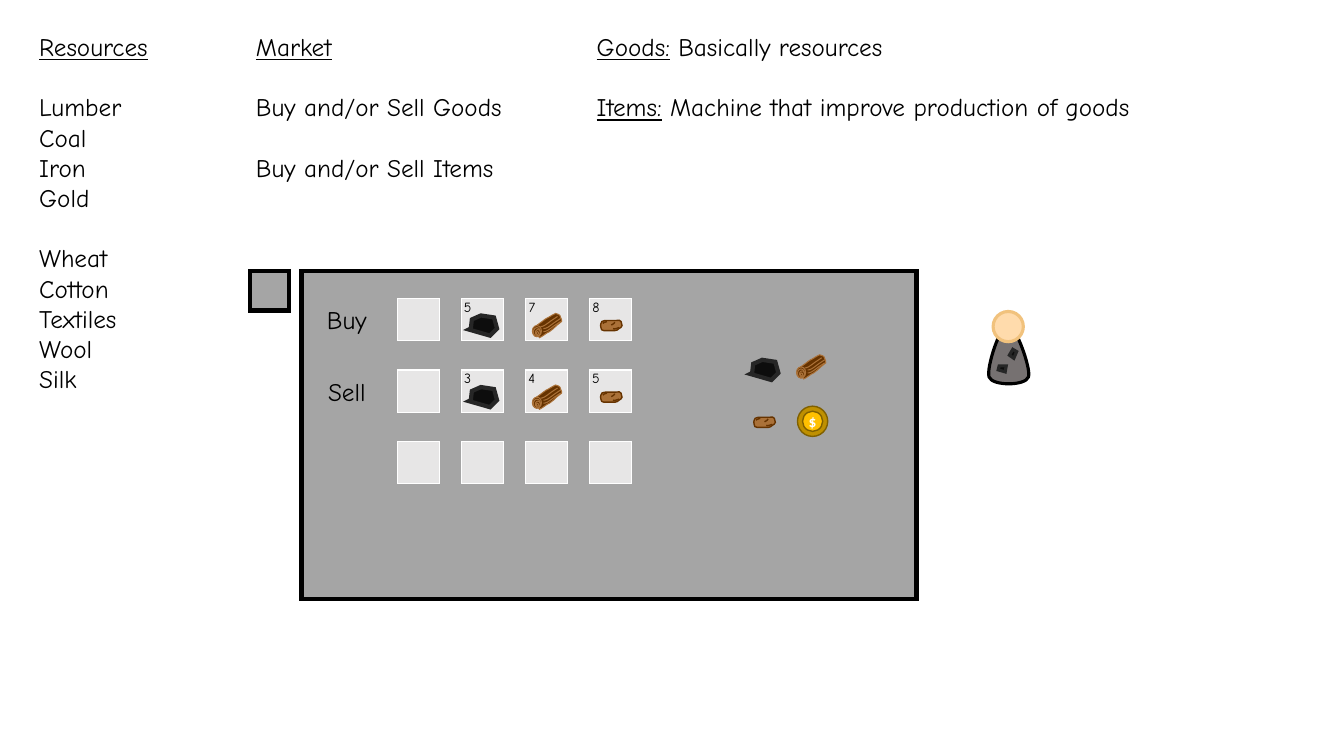
"""Build the market mock-up slide; icon outlines are in hundredths of an inch."""
from lxml.etree import SubElement
from pptx import Presentation
from pptx.dml.color import RGBColor
from pptx.enum.shapes import MSO_SHAPE
from pptx.enum.text import MSO_ANCHOR, PP_ALIGN
from pptx.oxml.ns import qn
from pptx.util import Inches, Pt

COLORS = {
    "black": "000000", "white": "FFFFFF", "panel": "A5A5A5", "slot": "E7E6E6",
    "coal": "0D0D0D", "coal edge": "262626", "bark": "663300", "wood": "AA7138",
    "coin rim": "BF9000", "coin": "FFC000", "coin edge": "806000",
    "robe": "767171", "skin": "FFDBAC", "skin edge": "F1C27D",
}
FONT = "Comic Neue"

LOG = [(1, 15), (3, 12, 5, 12, 7, 10), (10, 8, 13, 5, 16, 4), (19, 2, 21, 1, 23, 0),
       (25, 0, 25, 0, 26, 1), (27, 1, 28, 3, 28, 4), (29, 5, 29, 7, 29, 8), (24, 12),
       (22, 14, 20, 16, 17, 18), (14, 19, 10, 23, 7, 24)]
GRAINS = [[(x, y + 10), (x + 1, y + 10, x + 2, y + 10, x + 4, y + 9),
           (x + 6, y + 8, x + 8, y + 6, x + 11, y + 4),
           (x + 13, y + 3, x + 15, y + 1, x + 17, y)]
          for x, y in [(8, 3), (11, 5), (11, 8)]]
RINGS = [(1, 14, 7, 9), (3, 16, 5, 6), (4, 18, 2, 3)]
NUGGET = [(1, 3), (1, 4, 0, 6, 1, 7), (1, 9, 2, 10, 4, 10), (9, 10), (15, 10),
          (17, 10, 18, 9, 19, 8), (20, 8, 22, 6, 22, 5), (21, 1), (21, -1, 18, 0, 16, 0),
          (15, 0, 13, 0, 11, 0), (10, 0, 9, 0, 8, 0), (6, 0, 3, 0, 2, 1)]
DENTS = [([(7, 1), (6, 1, 5, 1, 4, 2), (4, 2, 3, 3, 3, 3)], 0),
         ([(19, 7), (18, 7, 17, 8, 16, 8), (15, 9, 13, 8, 13, 8)], 0),
         ([(15, 2), (14, 2, 15, 3, 14, 3), (14, 3, 12, 4, 11, 4)], 347.3)]
ROBE = [(0, 65), (-3, 56, 11, 13, 19, 13), (26, 13, 42, 57, 39, 65), (36, 74, 3, 74, 0, 65)]

ICONS = {
    "coal": [([(3, 4), (12, 0), (25, 2), (28, 13), (21, 20), (0, 14), (2, 13)],
              "coal", "coal edge", 3, 0)],
    "lumber": [(LOG, "bark", "wood", 0.75, 0), ((0, 12, 9, 11), "bark", "wood", 0.75, 0)]
              + [(part, None, "wood", 0.75, 0) for part in RINGS + GRAINS],
    "nugget": [(NUGGET, "wood", "bark", 1, 0)]
              + [(dent, None, "bark", 1, turn) for dent, turn in DENTS],
    "coin": [((0, 0, 30, 30), "coin rim", "coin edge", 1, 0),
             ((5, 5, 20, 20), "coin", "coin edge", 1, 0)],
    "trader": [(ROBE, "robe", "black", 2.25, 0),
               ((4, 0, 30, 30), "skin", "skin edge", 2.25, 0),
               ([(10, 54), (17, 54), (16, 60), (9, 58)], "coal", "coal edge", 2.25, 0),
               ([(24, 38), (28, 44), (23, 46), (20, 40)], "coal", "coal edge", 2.25, 56.9)],
}

deck = Presentation()
deck.slide_width, deck.slide_height = Inches(13.33), Inches(7.5)
page = deck.slides.add_slide(deck.slide_layouts[6])


def paint(shape, fill, line, width):
    shape.shadow.inherit = False
    if fill:
        shape.fill.solid()
        shape.fill.fore_color.rgb = RGBColor.from_string(COLORS[fill])
    else:
        shape.fill.background()
    shape.line.color.rgb = RGBColor.from_string(COLORS[line])
    shape.line.width = Pt(width)
    SubElement(shape.line._get_or_add_ln(), qn("a:miter"), lim="800000")


def draw_icon(name, left, top):
    parts = []
    for geometry, fill, line, width, turn in ICONS[name]:
        if isinstance(geometry, tuple):
            x, y, wide, high = (value / 100 for value in geometry)
            part = page.shapes.add_shape(MSO_SHAPE.OVAL, Inches(left + x), Inches(top + y),
                                         Inches(wide), Inches(high))
        else:
            outline = [[(Inches(left + x / 100), Inches(top + y / 100))
                        for x, y in zip(segment[::2], segment[1::2])] for segment in geometry]
            builder = page.shapes.build_freeform(*outline[0][0])
            builder.add_line_segments([segment[-1] for segment in outline[1:]],
                                      close=fill is not None)
            part = builder.convert_to_shape()
            straights = list(part._element.iter(qn("a:lnTo")))
            for straight, segment in zip(straights, outline[1:]):
                if len(segment) == 3:
                    curve = straight.makeelement(qn("a:cubicBezTo"))
                    for x, y in segment:
                        SubElement(curve, qn("a:pt"), x=str(x - part.left), y=str(y - part.top))
                    straight.getparent().replace(straight, curve)
        paint(part, fill, line, width)
        part.rotation = turn
        parts.append(part)
    if len(parts) > 1:
        page.shapes.add_group_shape(parts)
    return parts


SLOT_LEFT, SLOT_TOP, SLOT_SIZE = 3.94, 2.96, 0.42
COLUMN_STEP, ROW_STEP = 0.635, 0.71
boxes = [(2.99, 2.69, 6.1, 3.25, "panel", "black", 3),
         (2.48, 2.69, 0.39, 0.39, "panel", "black", 3)]
boxes += [(SLOT_LEFT + column * COLUMN_STEP, SLOT_TOP + row * ROW_STEP,
           SLOT_SIZE, SLOT_SIZE, "slot", "white", 1)
          for column in range(4) for row in range(3)]
for left, top, width, height, fill, line, weight in boxes:
    box = page.shapes.add_shape(MSO_SHAPE.RECTANGLE, Inches(left), Inches(top),
                                Inches(width), Inches(height))
    paint(box, fill, line, weight)

for row in range(2):
    for name, left, top in [("coal", 4.65, 3.13), ("lumber", 5.28, 3.11), ("nugget", 5.95, 3.18)]:
        draw_icon(name, left, top + row * ROW_STEP)
for name, left, top in [("coal", 7.44, 3.57), ("lumber", 7.9, 3.52), ("nugget", 7.47, 4.14),
                        ("trader", 9.81, 3.09)]:
    draw_icon(name, left, top)

coin_face = draw_icon("coin", 7.91, 4.03)[-1]
coin_face.text_frame.word_wrap = False
coin_face.text_frame.vertical_anchor = MSO_ANCHOR.MIDDLE
para = coin_face.text_frame.paragraphs[0]
para.text = "$"
para.alignment = PP_ALIGN.CENTER
para.font.name, para.font.size, para.font.bold = "Calibri", Pt(11), True
para.font.color.rgb = RGBColor.from_string(COLORS["white"])

GAP = 21.6
texts = [
    (0.29, 0.26, 1.89, 4.04, 18, PP_ALIGN.LEFT,
     [("Resources", "", 0), ("", "Lumber", GAP), ("", "Coal", 0), ("", "Iron", 0),
      ("", "Gold", 0), ("", "Wheat", GAP), ("", "Cotton", 0), ("", "Textiles", 0),
      ("", "Wool", 0), ("", "Silk", 0)]),
    (2.44, 0.26, 3.18, 2.22, 18, PP_ALIGN.LEFT,
     [("Market", "", 0), ("", "Buy and/or Sell Goods", GAP), ("", "Buy and/or Sell Items", GAP)]),
    (5.82, 0.26, 6.38, 1.01, 18, PP_ALIGN.LEFT,
     [("Goods:", " Basically resources", 0),
      ("Items:", " Machine that improve production of goods", GAP)]),
]
for row, (action, prices) in enumerate([("Buy", "578"), ("Sell", "345")]):
    texts.append((3.09, 2.97 + row * ROW_STEP, 0.7, 0.4, 18, PP_ALIGN.CENTER, [("", action, 0)]))
    texts += [(4.46 + column * COLUMN_STEP, 2.91 + row * ROW_STEP, 0.36, 0.27, 10,
               PP_ALIGN.CENTER, [("", price, 0)]) for column, price in enumerate(prices)]

for left, top, width, height, size, alignment, lines in texts:
    box = page.shapes.add_textbox(Inches(left), Inches(top), Inches(width), Inches(height))
    frame = box.text_frame
    frame.word_wrap = True
    for index, (heading, body, gap) in enumerate(lines):
        para = frame.add_paragraph() if index else frame.paragraphs[0]
        para.alignment = alignment
        para.space_before = Pt(gap)
        para.font.name, para.font.size = FONT, Pt(size)
        para.font.color.rgb = RGBColor.from_string(COLORS["black"])
        for words, underlined in [(heading, True), (body, False)]:
            if words:
                span = para.add_run()
                span.text = words
                span.font.underline = underlined

deck.save("out.pptx")
